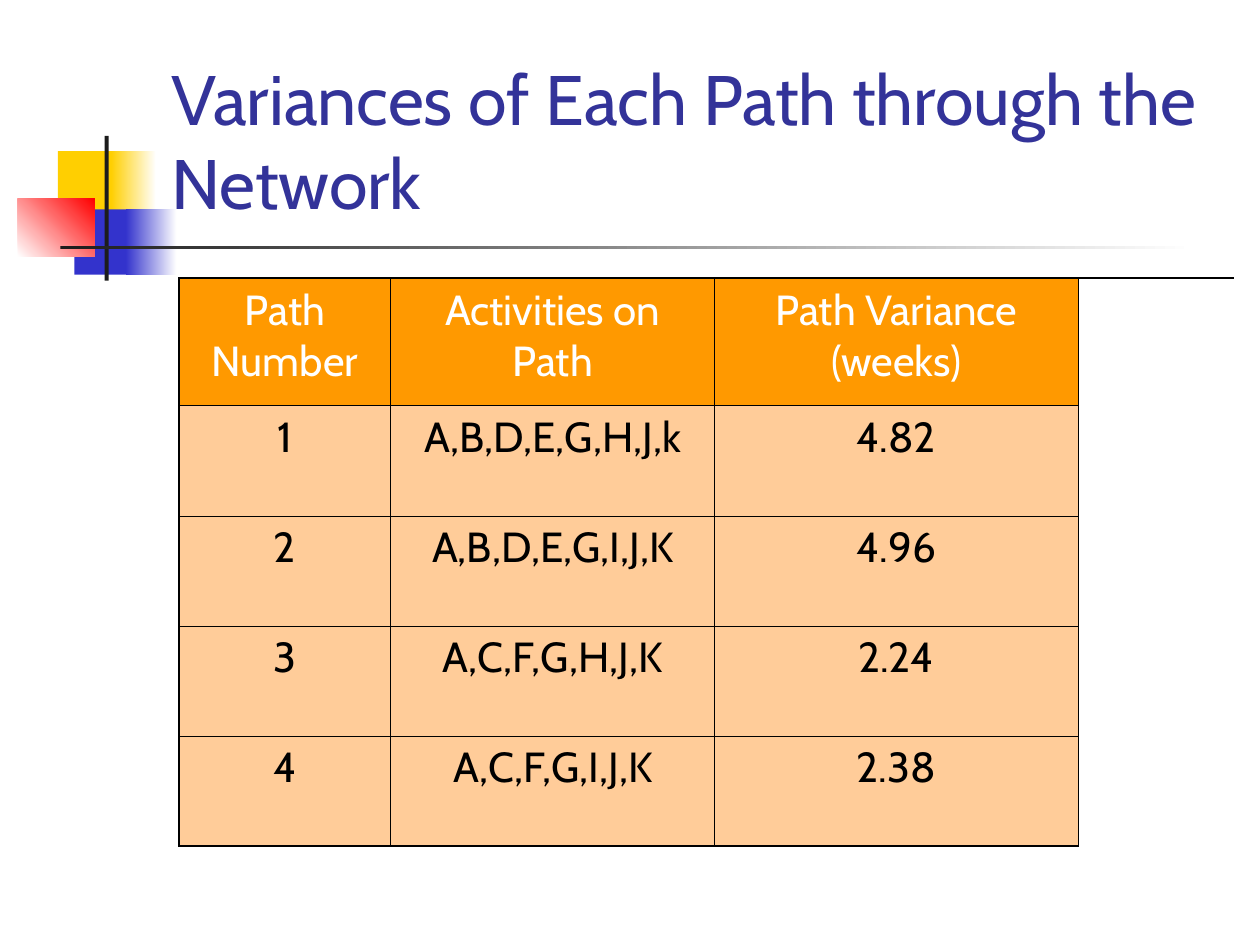
from dataclasses import dataclass

from lxml import etree
from pptx import Presentation
from pptx.dml.color import RGBColor
from pptx.enum.shapes import MSO_SHAPE
from pptx.enum.text import MSO_ANCHOR, PP_ALIGN
from pptx.oxml.ns import qn
from pptx.util import Cm, Pt

RECT = MSO_SHAPE.RECTANGLE
BOTTOM = MSO_ANCHOR.BOTTOM
CENTER = PP_ALIGN.CENTER


@dataclass(frozen=True)
class Theme:
    font: str = "Cabin"
    title_size: int = 40
    table_size: int = 24
    title: str = "333399"
    white: str = "FFFFFF"
    black: str = "000000"
    ink: str = "1C1C1C"
    yellow: str = "FFCF01"
    blue: str = "3333CC"
    red: str = "FF0000"
    header: str = "FF9900"
    body: str = "FFCC99"
    thin: float = 0.45
    thick: float = 1.08


class SlideBuilder:
    def __init__(self, slide, theme):
        self.s = slide
        self.t = theme

    def style(self, p, size, color):
        for r in p.runs:
            r.font.name = self.t.font
            r.font.size = Pt(size)
            r.font.color.rgb = RGBColor.from_string(color)

    def block(self, x, y, w, h, color, end=None, angle=0):
        sp = self.s.shapes.add_shape(RECT, Cm(x), Cm(y), Cm(w), Cm(h))
        sp.shadow.inherit = False
        sp.line.fill.background()
        if end is None:
            sp.fill.solid()
            sp.fill.fore_color.rgb = RGBColor.from_string(color)
            return
        sp.fill.gradient()
        sp.fill.gradient_angle = angle
        for stop, c in zip(sp.fill.gradient_stops, (color, end)):
            stop.color.rgb = RGBColor.from_string(c)

    def title(self, x, y, w, h, text):
        tf = self.s.shapes.add_textbox(Cm(x), Cm(y), Cm(w), Cm(h)).text_frame
        tf.word_wrap = True
        tf.vertical_anchor = BOTTOM
        tf.text = text
        self.style(tf.paragraphs[0], self.t.title_size, self.t.title)

    def borders(self, cell, **widths):
        tc_pr = cell._tc.get_or_add_tcPr()
        for side in "LRTB":
            width = widths[side]
            ln = etree.SubElement(tc_pr, qn(f"a:ln{side}"), w=str(Pt(width)))
            if width:
                fill = etree.SubElement(ln, qn("a:solidFill"))
                etree.SubElement(fill, qn("a:srgbClr"), val=self.t.black)
            else:
                etree.SubElement(ln, qn("a:noFill"))

    def cell(self, cell, text, color, fill):
        cell.fill.solid()
        cell.fill.fore_color.rgb = RGBColor.from_string(fill)
        cell.text = text
        p = cell.text_frame.paragraphs[0]
        p.alignment = CENTER
        p.space_before = Pt(6)
        self.style(p, self.t.table_size, color)

    def table(self, x, y, widths, heights, rows):
        t = self.t
        last = len(rows) - 1
        tbl = self.s.shapes.add_table(
            len(rows), len(widths), Cm(x), Cm(y), Cm(sum(widths)), Cm(sum(heights))
        ).table
        tbl.first_row = tbl.horz_banding = False
        for col, w in zip(tbl.columns, widths):
            col.width = Cm(w)
        for i, (row, h) in enumerate(zip(rows, heights)):
            tbl.rows[i].height = Cm(h)
            for j, text in enumerate(row):
                cell = tbl.cell(i, j)
                self.borders(
                    cell,
                    L=t.thin if j else t.thick,
                    R=t.thin,
                    T=t.thin if i else t.thick,
                    B=t.thick if i == last else t.thin,
                )
                self.cell(cell, text, t.black if i else t.white, t.body if i else t.header)
        side = len(widths) - 1
        tbl.cell(0, side).merge(tbl.cell(last, side))
        for i in range(len(rows)):
            cell = tbl.cell(i, side)
            self.borders(cell, L=t.thin, R=0, T=0 if i else t.thick, B=0)
            cell.fill.background()


def main():
    prs = Presentation()
    prs.slide_width, prs.slide_height = Cm(25.4), Cm(19.05)
    t = Theme()
    b = SlideBuilder(prs.slides.add_slide(prs.slide_layouts[6]), t)

    b.block(1.17, 3.05, 1.22, 1.32, t.yellow)
    b.block(2.24, 3.05, 0.91, 1.32, t.yellow, t.white)
    b.block(1.5, 4.22, 1.17, 1.32, t.blue)
    b.block(2.54, 4.22, 1.02, 1.32, t.blue, t.white)
    b.block(0.36, 4.01, 1.55, 1.17, t.white, t.red, angle=45)
    b.block(2.11, 2.74, 0.08, 2.92, t.ink)
    b.block(1.22, 4.95, 22.86, 0.08, t.ink, t.white)

    b.title(3.2, 0.58, 21.64, 4.06, "Variances of Each Path through the Network")
    b.table(
        3.61, 5.61,
        [4.27, 6.53, 7.32, 3.15],
        [2.57] + [2.22] * 4,
        [
            ("Path Number", "Activities on Path", "Path Variance (weeks)"),
            ("1", "A,B,D,E,G,H,J,k", "4.82"),
            ("2", "A,B,D,E,G,I,J,K", "4.96"),
            ("3", "A,C,F,G,H,J,K", "2.24"),
            ("4", "A,C,F,G,I,J,K", "2.38"),
        ],
    )
    prs.save("out.pptx")


if __name__ == "__main__":
    main()
